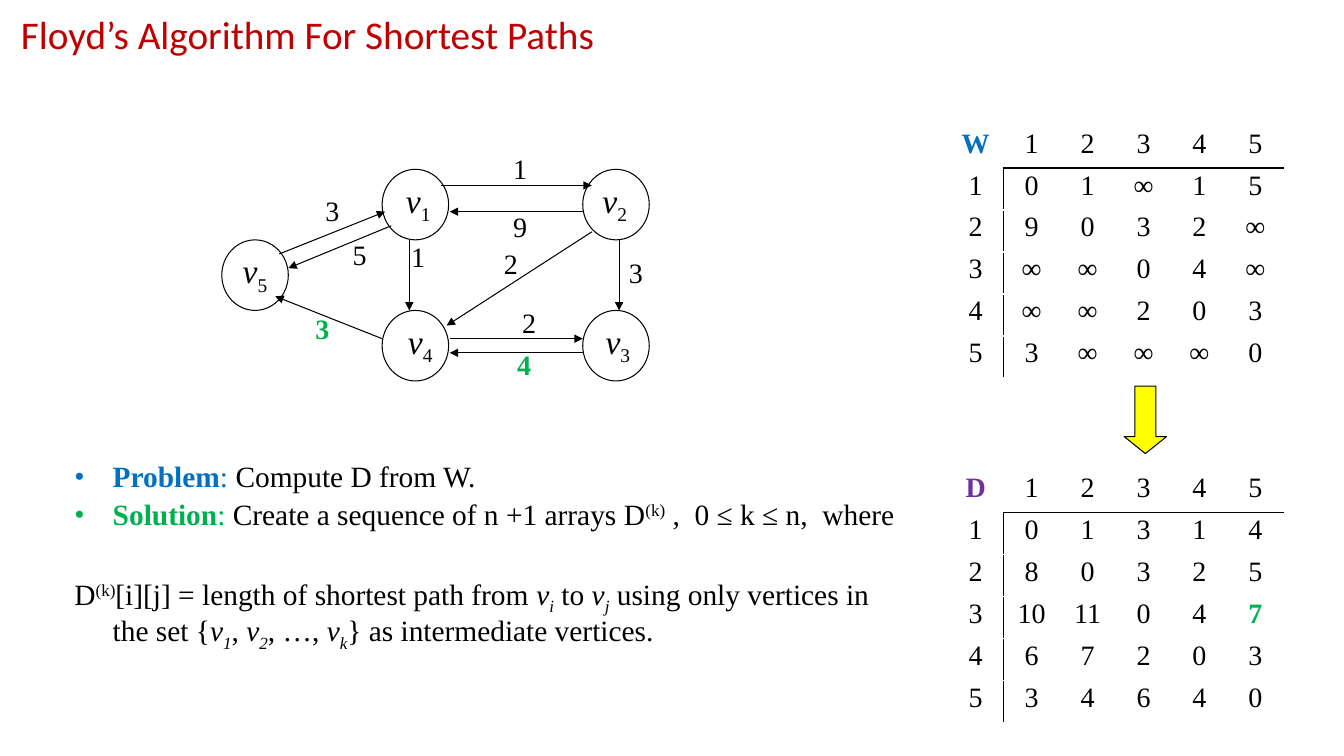
import dataclasses
import typing

import lxml.etree
import pptx
import pptx.dml.color
import pptx.enum.shapes
import pptx.enum.text
import pptx.oxml.ns
import pptx.util

Inches = pptx.util.Inches
Pt = pptx.util.Pt
RGBColor = pptx.dml.color.RGBColor
qn = pptx.oxml.ns.qn

BLACK = RGBColor(0, 0, 0)
WHITE = RGBColor(255, 255, 255)
RED = RGBColor(0xC0, 0, 0)
BLUE = RGBColor(0, 0x70, 0xC0)
GREEN = RGBColor(0, 0xB0, 0x50)
PURPLE = RGBColor(0x70, 0x30, 0xA0)
YELLOW = RGBColor(255, 255, 0)
SERIF = "Times New Roman"
SUB, SUPER = -25000, 30000


@dataclasses.dataclass
class Run:
    text: str
    color: RGBColor = BLACK
    bold: bool = False
    italic: bool = False
    baseline: int = 0


@dataclasses.dataclass
class Vertex:
    index: str
    left: float
    top: float
    inset: float


@dataclasses.dataclass
class Edge:
    """A directed edge; the arrowhead is at the end point."""
    start: tuple[float, float]
    end: tuple[float, float]


@dataclasses.dataclass
class Weight:
    text: str
    left: float
    top: float
    color: RGBColor = BLACK


@dataclasses.dataclass
class Matrix:
    name: str
    color: RGBColor
    top: float
    rows: list[str]
    highlight: tuple[int, int] | None = None


VERTICES = [Vertex("1", 3.79, 1.68, 0.14), Vertex("2", 5.78, 1.68, 0.1),
            Vertex("4", 3.79, 3.08, 0.16), Vertex("3", 5.78, 3.08, 0.13),
            Vertex("5", 2.2, 2.38, 0.11)]
EDGES = [Edge((2.77, 2.52), (3.82, 2.1)), Edge((3.88, 2.24), (2.86, 2.66)),
         Edge((5.87, 2.3), (4.43, 3.23)), Edge((4.37, 1.84), (5.87, 1.84)),
         Edge((4.46, 3.36), (5.78, 3.36)), Edge((4.06, 2.38), (4.06, 3.08)),
         Edge((6.14, 2.38), (6.14, 3.08)), Edge((5.78, 3.5), (4.46, 3.5)),
         Edge((5.78, 2.1), (4.46, 2.1)), Edge((3.79, 3.36), (2.73, 2.94))]
WEIGHTS = [Weight("3", 3.13, 1.87), Weight("4", 5.03, 3.4, GREEN),
           Weight("3", 3.03, 3.04, GREEN), Weight("2", 5.08, 2.98),
           Weight("5", 3.4, 2.31), Weight("2", 4.9, 2.4), Weight("9", 4.99, 2.03),
           Weight("1", 4.99, 1.45), Weight("3", 6.14, 2.49), Weight("1", 3.98, 2.33)]
MATRICES = [
    Matrix("W", BLUE, 1.25, ["0 1 ∞ 1 5", "9 0 3 2 ∞", "∞ ∞ 0 4 ∞", "∞ ∞ 2 0 3", "3 ∞ ∞ ∞ 0"]),
    Matrix("D", PURPLE, 4.67, ["0 1 3 1 4", "8 0 3 2 5", "10 11 0 4 7", "6 7 2 0 3", "3 4 6 4 0"],
           highlight=(3, 5)),
]


def indexed_vertex(index: str) -> list[Run]:
    return [Run("v", italic=True), Run(index, italic=True, baseline=SUB)]


PROBLEM = [Run("Problem", BLUE, bold=True), Run(": ", BLUE), Run("Compute D from W.")]
SOLUTION = [Run("Solution", GREEN, bold=True), Run(": ", GREEN),
            Run("Create a sequence of n +1 arrays D"), Run("(k)", baseline=SUPER),
            Run(" ,  0 ≤ k ≤ n,  where")]
DEFINITION = [Run("D"), Run("(k)", baseline=SUPER),
              Run("[i][j] = length of shortest path from "), *indexed_vertex("i"),
              Run(" to "), *indexed_vertex("j"), Run(" using only vertices in the set {"),
              *indexed_vertex("1"), Run(", "), *indexed_vertex("2"), Run(", …, "),
              *indexed_vertex("k"), Run("} as intermediate vertices.")]


def set_all(target: typing.Any, values: dict[str, typing.Any]) -> None:
    for name, value in values.items():
        setattr(target, name, value)


def add_runs(paragraph: typing.Any, runs: list[Run], size: float, font: str = SERIF) -> None:
    for item in runs:
        run = paragraph.add_run()
        run.text = item.text
        set_all(run.font, {"name": font, "size": Pt(size), "bold": item.bold, "italic": item.italic})
        run.font.color.rgb = item.color
        if item.baseline:
            run.font._element.set("baseline", str(item.baseline))


def add_text_box(slide: typing.Any, left: float, top: float, width: float, height: float) -> typing.Any:
    box = slide.shapes.add_textbox(Inches(left), Inches(top), Inches(width), Inches(height))
    box.text_frame.word_wrap = True
    return box.text_frame


def style_shape(shape: typing.Any, fill: RGBColor) -> None:
    shape.shadow.inherit = False
    shape.fill.solid()
    shape.fill.fore_color.rgb = fill
    shape.line.color.rgb = BLACK
    shape.line.width = Pt(0.75)


def add_vertex(slide: typing.Any, vertex: Vertex) -> None:
    shape = slide.shapes.add_shape(pptx.enum.shapes.MSO_SHAPE.OVAL, Inches(vertex.left),
                                   Inches(vertex.top), Inches(0.66), Inches(0.7))
    style_shape(shape, WHITE)
    set_all(shape.text_frame, {
        "margin_left": Inches(vertex.inset), "margin_top": 0, "margin_right": 0,
        "margin_bottom": Inches(0.05), "word_wrap": True,
        "vertical_anchor": pptx.enum.text.MSO_ANCHOR.TOP})
    paragraph = shape.text_frame.paragraphs[0]
    paragraph.alignment = pptx.enum.text.PP_ALIGN.LEFT
    add_runs(paragraph, [Run("v", italic=True), Run(vertex.index, baseline=SUB)], 24)


def add_edge(slide: typing.Any, edge: Edge) -> None:
    points = [Inches(value) for value in (*edge.start, *edge.end)]
    connector = slide.shapes.add_connector(pptx.enum.shapes.MSO_CONNECTOR.STRAIGHT, *points)
    connector.line.color.rgb = BLACK
    connector.line.width = Pt(0.75)
    lxml.etree.SubElement(connector.line._get_or_add_ln(), qn("a:tailEnd"), type="triangle")
    lxml.etree.SubElement(connector._element.spPr, qn("a:effectLst"))


def add_border(cell: typing.Any, side: str) -> None:
    line = lxml.etree.SubElement(cell._tc.get_or_add_tcPr(), qn(f"a:ln{side}"), w=str(Pt(1)))
    fill = lxml.etree.SubElement(line, qn("a:solidFill"))
    lxml.etree.SubElement(fill, qn("a:srgbClr"), val=str(BLACK))


def add_matrix(slide: typing.Any, matrix: Matrix) -> None:
    values = [[matrix.name, *"12345"]]
    values += [[str(number), *row.split()] for number, row in enumerate(matrix.rows, 1)]
    count = len(values)
    table = slide.shapes.add_table(count, count, Inches(9.4), Inches(matrix.top),
                                   Inches(3.33), Inches(2.5)).table
    set_all(table, {"first_row": False, "horz_banding": False})
    for r, row in enumerate(values):
        for c, value in enumerate(row):
            cell = table.cell(r, c)
            borders = {"L": c == 1 and r > 0, "R": c == 0 and r > 0,
                       "T": r == 1 and c > 0, "B": r == 0 and c > 0}
            for side in (side for side, shown in borders.items() if shown):
                add_border(cell, side)
            cell.fill.background()
            set_all(cell, {"margin_left": Inches(0.04), "margin_right": Inches(0.04),
                           "margin_top": Inches(0.02), "margin_bottom": Inches(0.02)})
            color = matrix.color if r == c == 0 else GREEN if (r, c) == matrix.highlight else BLACK
            paragraph = cell.text_frame.paragraphs[0]
            paragraph.alignment = pptx.enum.text.PP_ALIGN.CENTER
            add_runs(paragraph, [Run(value, color, bold=color != BLACK)], 20)


def add_explanation(slide: typing.Any) -> None:
    frame = add_text_box(slide, 0.64, 4.54, 8.47, 3)
    for runs, space, bulleted in ((PROBLEM, 0, True), (SOLUTION, 4.2, True), (DEFINITION, 32, False)):
        paragraph = frame.add_paragraph() if space else frame.paragraphs[0]
        properties = paragraph._p.get_or_add_pPr()
        set_all(paragraph, {"line_spacing": 0.9, "space_before": Pt(space)})
        for name, indent in (("marL", 0.38), ("indent", -0.38)):
            properties.set(name, str(Inches(indent)))
        if bulleted:
            lxml.etree.SubElement(properties, qn("a:buFont"), typeface=SERIF)
            lxml.etree.SubElement(properties, qn("a:buChar"), char="•")
        add_runs(paragraph, runs, 21)


def main() -> None:
    presentation = pptx.Presentation()
    set_all(presentation, {"slide_width": Inches(13.33), "slide_height": Inches(7.5)})
    slide = presentation.slides.add_slide(presentation.slide_layouts[6])
    title = add_text_box(slide, 0.11, 0.08, 9, 0.57)
    title.vertical_anchor = pptx.enum.text.MSO_ANCHOR.MIDDLE
    title.paragraphs[0].line_spacing = 0.9
    add_runs(title.paragraphs[0], [Run("Floyd’s Algorithm For Shortest Paths", RED)], 28, "Calibri")
    for matrix in MATRICES:
        add_matrix(slide, matrix)
    for vertex in VERTICES:
        add_vertex(slide, vertex)
    for edge in EDGES:
        add_edge(slide, edge)
    for weight in WEIGHTS:
        frame = add_text_box(slide, weight.left, weight.top, 0.4, 0.48)
        add_runs(frame.paragraphs[0], [Run(weight.text, weight.color, bold=weight.color == GREEN)], 20)
    add_explanation(slide)
    arrow = slide.shapes.add_shape(pptx.enum.shapes.MSO_SHAPE.DOWN_ARROW, Inches(11.15),
                                   Inches(3.83), Inches(0.42), Inches(0.67))
    arrow.adjustments[1] = 0.4
    style_shape(arrow, YELLOW)
    presentation.save("out.pptx")


if __name__ == "__main__":
    main()
